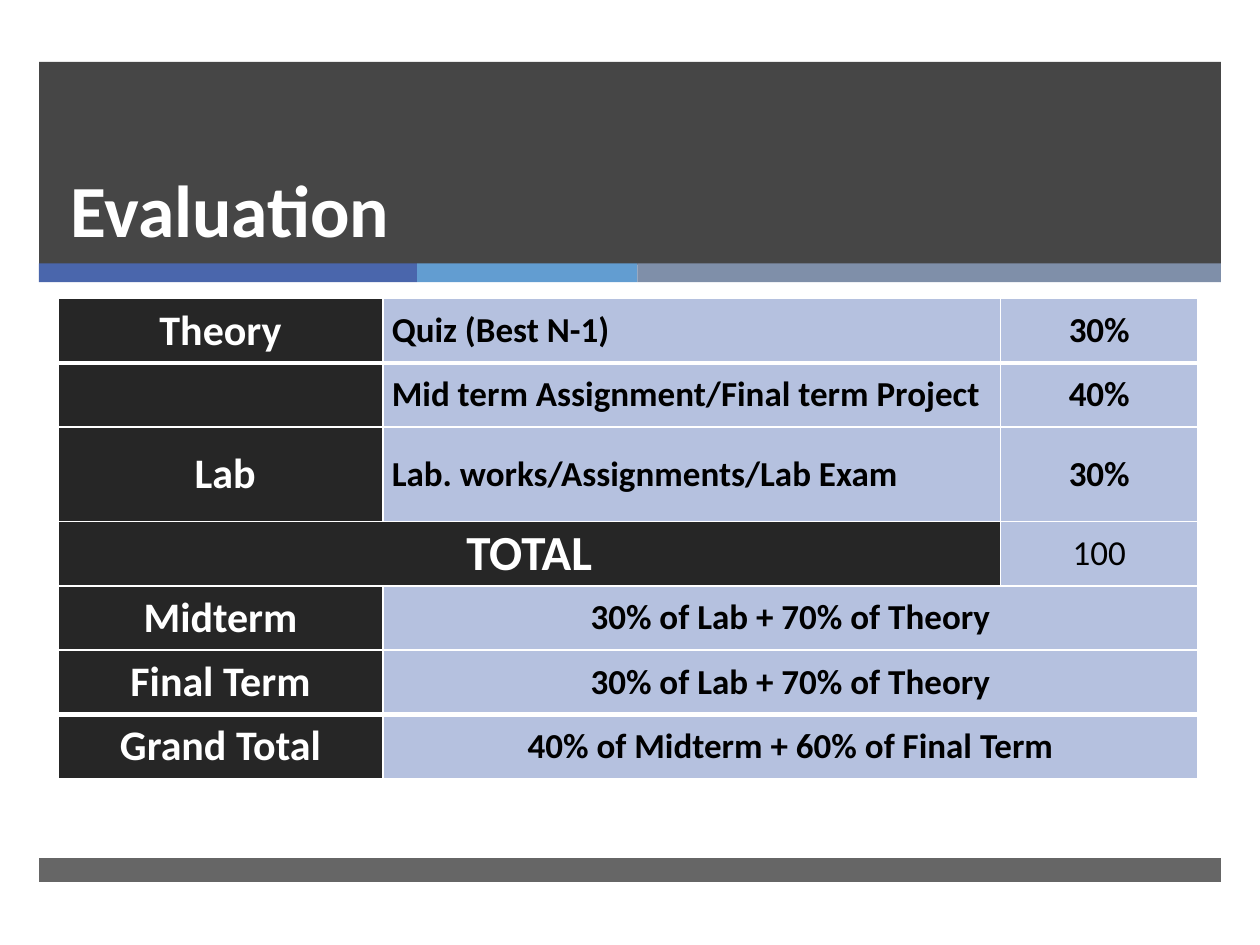
from dataclasses import dataclass

from lxml import etree
from pptx import Presentation
from pptx.dml.color import RGBColor
from pptx.enum.shapes import MSO_SHAPE
from pptx.enum.text import MSO_ANCHOR, PP_ALIGN
from pptx.oxml.ns import qn
from pptx.util import Inches, Pt

RECT = MSO_SHAPE.RECTANGLE
LEFT, CENTER = PP_ALIGN.LEFT, PP_ALIGN.CENTER
MIDDLE, BOTTOM = MSO_ANCHOR.MIDDLE, MSO_ANCHOR.BOTTOM

WHITE = RGBColor(0xFF, 0xFF, 0xFF)
BLACK = RGBColor(0x00, 0x00, 0x00)
DARK = RGBColor(0x26, 0x26, 0x26)
INDIGO = RGBColor(0x4A, 0x66, 0xAC)
SKY = RGBColor(0x62, 0x9D, 0xD1)
SLATE = RGBColor(0x7F, 0x8F, 0xA9)
PALE = RGBColor(0xB5, 0xC1, 0xDF)

FONT = "Calibri"
TITLE_ONLY = 5
MARGIN = 0.31
BAND_W = 10 - 2 * MARGIN
COL_WIDTHS = (2.58, 4.9, 1.57)
ROW_H, LAB_ROW_H = 0.51, 0.75
THIN, THICK = 1, 3


@dataclass(frozen=True)
class Band:
    left: float
    top: float
    width: float
    height: float
    color: RGBColor
    opacity: int = 100


@dataclass(frozen=True)
class Entry:
    text: str
    size: int = 20
    color: RGBColor = BLACK
    fill: RGBColor = PALE
    align: PP_ALIGN = CENTER
    bold: bool = True
    span: int = 1


def head(text: str, size: int = 24, span: int = 1) -> Entry:
    return Entry(text, size, WHITE, DARK, span=span)


def item(text: str) -> Entry:
    return Entry(text, align=LEFT)


BANDS = (
    Band(MARGIN, 0.49, BAND_W, 1.61, DARK, 85),
    Band(MARGIN, 2.09, 3, 0.15, INDIGO),
    Band(MARGIN + 3, 2.09, 1.75, 0.15, SKY),
    Band(MARGIN + 4.75, 2.09, BAND_W - 4.75, 0.15, SLATE),
    Band(MARGIN, 6.81, BAND_W, 0.19, DARK, 70),
)
ROWS = (
    (head("Theory"), item("Quiz (Best N-1)"), Entry("30%")),
    (head(""), item("Mid term Assignment/Final term Project"), Entry("40%")),
    (head(" Lab"), item("Lab. works/Assignments/Lab Exam"), Entry("30%")),
    (head("TOTAL", 28, 2), Entry("100", bold=False)),
    (head("Midterm"), Entry("30% of Lab + 70% of Theory", span=2)),
    (head("Final Term"), Entry("30% of Lab + 70% of Theory", span=2)),
    (head("Grand Total"), Entry("40% of Midterm + 60% of Final Term", span=2)),
)
LAB_ROW = 2
THICK_BELOW = (0, len(ROWS) - 2)


def set_attrs(target, **values) -> None:
    for name, value in values.items():
        setattr(target, name, value)


def draw_band(slide, band: Band) -> None:
    box = (band.left, band.top, band.width, band.height)
    sp = slide.shapes.add_shape(RECT, *map(Inches, box))
    sp.shadow.inherit = False
    sp.line.fill.background()
    sp.fill.solid()
    sp.fill.fore_color.rgb = band.color
    if band.opacity < 100:
        color = sp._element.spPr.find(".//" + qn("a:srgbClr"))
        etree.SubElement(color, qn("a:alpha"), val=str(band.opacity * 1000))


def write(tf, text: str, size: int, color: RGBColor, bold: bool, align: PP_ALIGN):
    p = tf.paragraphs[0]
    p.alignment = align
    if text:
        r = p.add_run()
        r.text = text
        set_attrs(r.font, name=FONT, size=Pt(size), bold=bold)
        r.font.color.rgb = color
    return p


def draw_borders(cell, row: int) -> None:
    tc_pr = cell._tc.get_or_add_tcPr()
    widths = {
        "L": THIN,
        "R": THIN,
        "T": THICK if row - 1 in THICK_BELOW else THIN,
        "B": THICK if row in THICK_BELOW else THIN,
    }
    for side, width in widths.items():
        ln = etree.SubElement(tc_pr, qn(f"a:ln{side}"), w=str(Pt(width)))
        fill = etree.SubElement(ln, qn("a:solidFill"))
        etree.SubElement(fill, qn("a:srgbClr"), val=str(WHITE))


def draw_entry(table, row: int, col: int, entry: Entry) -> None:
    last = col + entry.span - 1
    cell = table.cell(row, col)
    if entry.span > 1:
        cell.merge(table.cell(row, last))
    set_attrs(cell, vertical_anchor=MIDDLE, margin_left=Inches(0.07),
              margin_right=Inches(0.07), margin_top=0, margin_bottom=0)
    for c in range(col, last + 1):
        part = table.cell(row, c)
        draw_borders(part, row)
        part.fill.solid()
        part.fill.fore_color.rgb = entry.fill
    write(cell.text_frame, entry.text, entry.size, entry.color, entry.bold, entry.align)


def draw_title(slide) -> None:
    title = slide.shapes.title
    set_attrs(title, left=Inches(0.46), top=Inches(0.62),
              width=Inches(7.71), height=Inches(1.43))
    slide.shapes._spTree.append(title._element)  # in front of the header band
    title.text_frame.vertical_anchor = BOTTOM
    p = write(title.text_frame, "Evaluation", 42, WHITE, True, LEFT)
    p.line_spacing = Pt(46)


def draw_table(slide) -> None:
    heights = [LAB_ROW_H if i == LAB_ROW else ROW_H for i in range(len(ROWS))]
    box = (0.46, 2.37, sum(COL_WIDTHS), sum(heights))
    frame = slide.shapes.add_table(len(ROWS), len(COL_WIDTHS), *map(Inches, box))
    table = frame.table
    set_attrs(table, first_row=False, horz_banding=False)
    for column, width in zip(table.columns, COL_WIDTHS):
        column.width = Inches(width)
    for i, (entries, height) in enumerate(zip(ROWS, heights)):
        table.rows[i].height = Inches(height)
        col = 0
        for entry in entries:
            draw_entry(table, i, col, entry)
            col += entry.span


def main() -> None:
    prs = Presentation()
    set_attrs(prs, slide_width=Inches(10), slide_height=Inches(7.5))
    s = prs.slides.add_slide(prs.slide_layouts[TITLE_ONLY])
    for band in BANDS:
        draw_band(s, band)
    draw_title(s)
    draw_table(s)
    prs.save("out.pptx")


if __name__ == "__main__":
    main()
